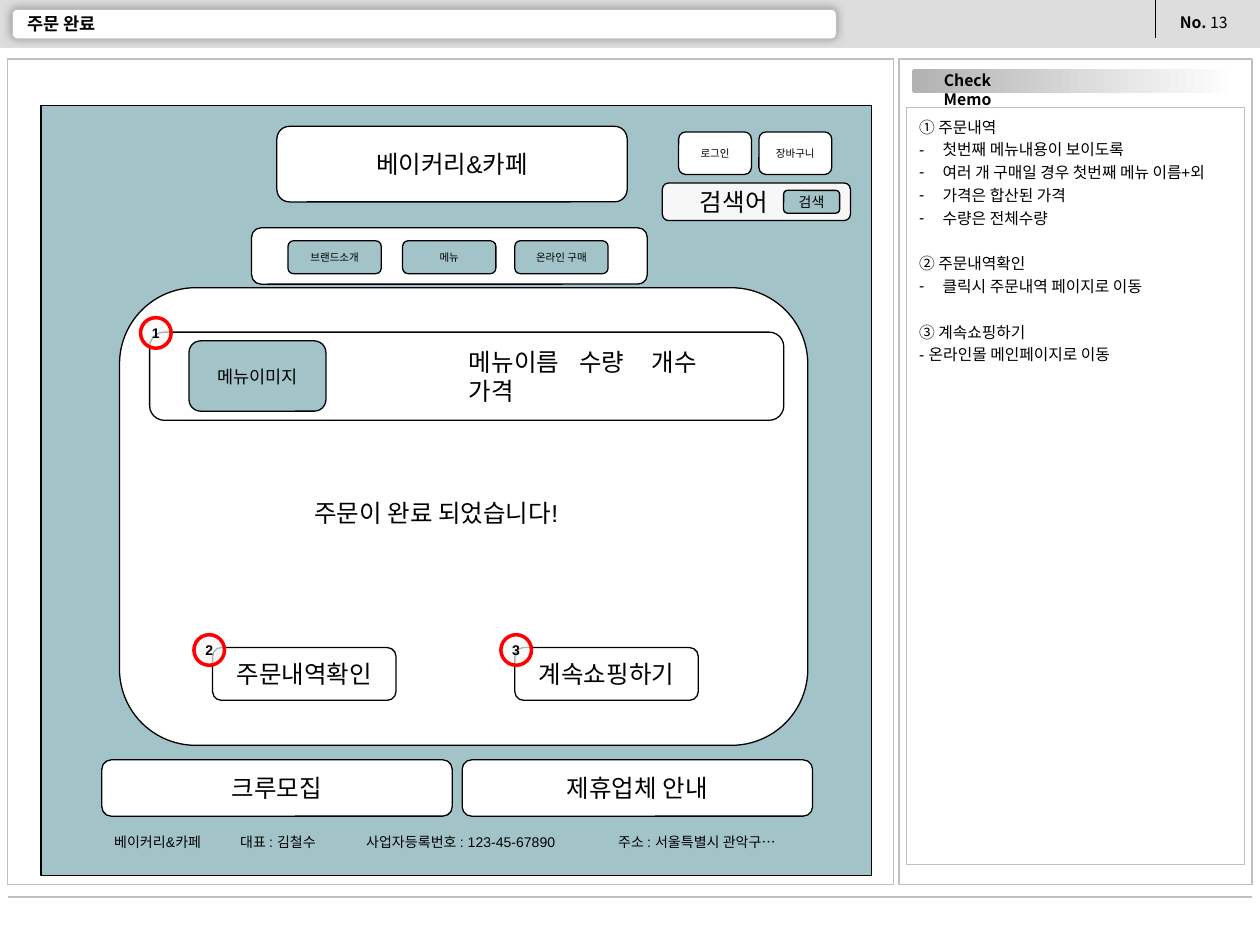
from lxml.etree import SubElement
from pptx import Presentation
from pptx.dml.color import RGBColor
from pptx.enum.shapes import MSO_CONNECTOR, MSO_SHAPE
from pptx.enum.text import MSO_ANCHOR, MSO_AUTO_SIZE, PP_ALIGN
from pptx.oxml.ns import qn
from pptx.util import Pt

BLACK = RGBColor(0x00, 0x00, 0x00)
WHITE = RGBColor(0xFF, 0xFF, 0xFF)
TEAL = RGBColor(0xA2, 0xC4, 0xC9)
SILVER = RGBColor(0xC0, 0xC0, 0xC0)
HEADER_GRAY = RGBColor(0xDD, 0xDD, 0xDD)
MEMO_GRAY = RGBColor(0xB2, 0xB2, 0xB2)
SEARCH_GRAY = RGBColor(0xF7, 0xF7, 0xF7)
MARKER_GRAY = RGBColor(0xF8, 0xF8, 0xF8)
RED = RGBColor(0xFF, 0x00, 0x00)

LATIN = "Arial"
KOREAN = "Noto Sans CJK KR"

MEMO_SECTIONS = [
    ("① 주문내역", ["첫번째 메뉴내용이 보이도록", "여러 개 구매일 경우 첫번째 메뉴 이름+외",
                 "가격은 합산된 가격", "수량은 전체수량"]),
    ("② 주문내역확인", ["클릭시 주문내역 페이지로 이동"]),
    ("③ 계속쇼핑하기", []),
]


def format_runs(paragraph, size, bold=False, font=LATIN):
    """Apply size, weight, colour and fonts to each run of a paragraph."""
    for run in paragraph.runs:
        run.font.size, run.font.bold, run.font.name = Pt(size), bold, font
        run.font.color.rgb = BLACK
        SubElement(run._r.get_or_add_rPr(), qn("a:ea"), typeface=KOREAN)


def set_frame(frame, anchor=MSO_ANCHOR.TOP, across=7.2, down=3.6):
    """Set the wrapping, anchor and insets of a text frame."""
    frame.word_wrap, frame.auto_size = True, MSO_AUTO_SIZE.NONE
    frame.vertical_anchor = anchor
    frame.margin_left = frame.margin_right = Pt(across)
    frame.margin_top = frame.margin_bottom = Pt(down)


def set_tabs(paragraph, positions):
    """Give a paragraph left tab stops."""
    tab_list = SubElement(paragraph._p.get_or_add_pPr(), qn("a:tabLst"))
    for position in positions:
        SubElement(tab_list, qn("a:tab"), pos=str(Pt(position)), algn="l")


def add_box(shapes, place, fill=WHITE, line=BLACK, kind=MSO_SHAPE.ROUNDED_RECTANGLE, weight=0.75):
    """Add a flat shape with a fill and an optional outline."""
    shape = shapes.add_shape(kind, *map(Pt, place))
    shape.shadow.inherit = False
    shape.fill.solid()
    shape.fill.fore_color.rgb = fill
    if line is None:
        shape.line.fill.background()
    else:
        shape.line.color.rgb, shape.line.width = line, Pt(weight)
    return shape


def add_label(shapes, place, text, size, fill=WHITE, left=None):
    """Add a rounded box with text, centred unless a left inset is given."""
    shape = add_box(shapes, place, fill)
    set_frame(shape.text_frame, MSO_ANCHOR.MIDDLE, 7.2, 7.2)
    paragraph = shape.text_frame.paragraphs[0]
    paragraph.text = text
    paragraph.alignment = PP_ALIGN.CENTER
    if left is not None:
        shape.text_frame.margin_left = Pt(left)
        paragraph.alignment = PP_ALIGN.LEFT
    format_runs(paragraph, size)
    return paragraph


def add_text(shapes, place, text, size, bold=False, font=LATIN):
    """Add a text box and return its paragraph."""
    frame = shapes.add_textbox(*map(Pt, place)).text_frame
    set_frame(frame)
    paragraph = frame.paragraphs[0]
    paragraph.text = text
    format_runs(paragraph, size, bold, font)
    return paragraph


def add_line(shapes, start, end, color, weight):
    """Add a straight line without a shadow."""
    line = shapes.add_connector(MSO_CONNECTOR.STRAIGHT, *map(Pt, start + end))
    line.line.color.rgb, line.line.width = color, Pt(weight)
    SubElement(line._element.spPr, qn("a:effectLst"))


def add_marker(shapes, left, top, number):
    """Add a numbered red ring."""
    ring = add_box(shapes, (left, top, 17.5, 17.5), MARKER_GRAY, RED, MSO_SHAPE.OVAL, 2)
    color = ring._element.spPr.find(qn("a:solidFill")).find(qn("a:srgbClr"))
    SubElement(color, qn("a:alpha"), val="70000")
    set_frame(ring.text_frame, MSO_ANCHOR.MIDDLE, 2.9, 3.6)
    paragraph = ring.text_frame.paragraphs[0]
    paragraph.text = str(number)
    paragraph.alignment = PP_ALIGN.CENTER
    format_runs(paragraph, 8, True)


def place_placeholder(placeholder, place):
    """Move a placeholder and bring it to the front."""
    placeholder.left, placeholder.top, placeholder.width, placeholder.height = map(Pt, place)
    element = placeholder._element
    element.getparent().append(element)


def add_frame(shapes):
    """Draw the header, the panels and the memo heading."""
    add_box(shapes, (0, 0, 720, 27.4), HEADER_GRAY, None, MSO_SHAPE.RECTANGLE)
    add_line(shapes, (660.2, 0), (660.2, 21.6), BLACK, 0.75)
    number = add_text(shapes, (667.2, 3.6, 45, 18), "No. ", 9, True, KOREAN)
    number.add_run().text = "13"
    format_runs(number, 9, False, KOREAN)
    number.runs[0].font.bold = True
    title_box = add_box(shapes, (7, 5.3, 471, 17), WHITE, SILVER)
    shadow = SubElement(title_box._element.spPr.find(qn("a:effectLst")), qn("a:outerShdw"),
                        blurRad=str(Pt(5)), dist=str(Pt(1.4)), dir="13500000")
    SubElement(shadow, qn("a:srgbClr"), val="989898")
    add_line(shapes, (4.5, 512.5), (715.5, 512.5), SILVER, 1.5)
    for left, width in ((513.8, 201.6), (4.5, 506.2)):
        add_box(shapes, (left, 33.8, width, 471.8), WHITE, SILVER, MSO_SHAPE.RECTANGLE)
    heading = add_box(shapes, (521.3, 39.4, 185, 13.9), WHITE, None)
    heading.fill.gradient()
    heading.fill.gradient_angle = 180
    for stop, color, position in zip(heading.fill.gradient_stops, (WHITE, MEMO_GRAY), (0, 1)):
        stop.color.rgb, stop.position = color, position
    add_text(shapes, (518.4, 36.7, 69, 18), "Check Memo", 9, True, KOREAN).alignment = PP_ALIGN.CENTER


def fill_title(title):
    """Write the slide title."""
    place_placeholder(title, (8.4, 7, 390, 13))
    set_frame(title.text_frame, MSO_ANCHOR.MIDDLE)
    title.text_frame.text = "주문 완료"
    paragraph = title.text_frame.paragraphs[0]
    paragraph.alignment = PP_ALIGN.LEFT
    format_runs(paragraph, 10, True)


def fill_memo(body):
    """Write the memo list."""
    place_placeholder(body, (518, 61.3, 193, 432.7))
    body.fill.solid()
    body.fill.fore_color.rgb = WHITE
    body.line.color.rgb, body.line.width = SILVER, Pt(0.75)
    set_frame(body.text_frame)
    lines = [(text, index > 0, text != heading)
             for heading, items in MEMO_SECTIONS for index, text in enumerate([heading] + items)]
    lines.append(("- 온라인몰 메인페이지로 이동", True, False))
    body.text_frame.text = "\n".join(text for text, _, _ in lines)
    for position, (paragraph, (_, inside, bullet)) in enumerate(zip(body.text_frame.paragraphs, lines)):
        properties = paragraph._p.get_or_add_pPr()
        indent = 13.5 if bullet else 0
        properties.set("marL", str(Pt(indent)))
        properties.set("indent", str(Pt(-indent)))
        if bullet:
            SubElement(SubElement(properties, qn("a:buClr")), qn("a:srgbClr"), val=str(BLACK))
            SubElement(properties, qn("a:buChar"), char="-")
        else:
            SubElement(properties, qn("a:buNone"))
        paragraph.line_spacing = Pt(13)
        paragraph.space_before = Pt(0 if inside or position == 0 else 13)
        format_runs(paragraph, 9)


def add_page(shapes):
    """Draw the shop page shell as one group."""
    page = shapes.add_group_shape().shapes
    add_box(page, (23.5, 60.4, 474.5, 440), TEAL, kind=MSO_SHAPE.RECTANGLE)
    add_label(page, (158.2, 72.2, 200.2, 43.2), "베이커리&카페", 14)
    add_box(page, (143.8, 130.2, 226.1, 32.2))
    add_label(page, (378.5, 104.6, 107.5, 21.5), "검색어", 14, SEARCH_GRAY, 20.4)
    add_label(page, (447.8, 108.8, 32, 13), "검색", 8, TEAL)
    for left, text in ((164.6, "브랜드소개"), (230.1, "메뉴"), (294.2, "온라인 구매")):
        add_label(page, (left, 137.6, 53.3, 18.8), text, 6, TEAL)
    for left, text in ((58.2, "크루모집"), (264.1, "제휴업체 안내")):
        add_label(page, (left, 434.2, 200.2, 32.2), text, 14)
    contact = add_text(page, (58.2, 473, 410, 17.3),
                       "베이커리&카페\t대표 : 김철수\t사업자등록번호 : 123-45-67890\t주소 : 서울특별시 관악구…", 8)
    set_tabs(contact, (72, 144, 288))
    for left, text in ((387.8, "로그인"), (433.7, "장바구니")):
        add_label(page, (left, 75.4, 41.6, 24.3), text, 6)


def add_order(shapes):
    """Draw the order result with its numbered markers."""
    add_box(shapes, (68.3, 164.4, 393.3, 261.5))
    for left, text in ((121.5, "주문내역확인"), (294.2, "계속쇼핑하기")):
        add_label(shapes, (left, 370, 104.8, 30.2), text, 14)
    add_text(shapes, (172.5, 280.8, 281.5, 24.5), "주문이 완료 되었습니다!", 14)
    summary = add_label(shapes, (85.5, 189.8, 362.4, 50.4), "메뉴이름\t수량\t개수\t가격", 14, left=180)
    set_tabs(summary, (63, 104.6, 146.2))
    add_label(shapes, (108, 194.8, 78.3, 40.2), "메뉴이미지", 10, TEAL)
    for number, (left, top) in enumerate(((80.3, 181.5), (110.8, 362.7), (286.2, 362.7)), 1):
        add_marker(shapes, left, top, number)


def main():
    """Build and save the slide."""
    presentation = Presentation()
    presentation.slide_width, presentation.slide_height = Pt(720), Pt(540)
    slide = presentation.slides.add_slide(presentation.slide_layouts[1])
    add_frame(slide.shapes)
    fill_title(slide.shapes.title)
    fill_memo(slide.placeholders[1])
    add_page(slide.shapes)
    add_order(slide.shapes)
    presentation.save("out.pptx")


if __name__ == "__main__":
    main()
